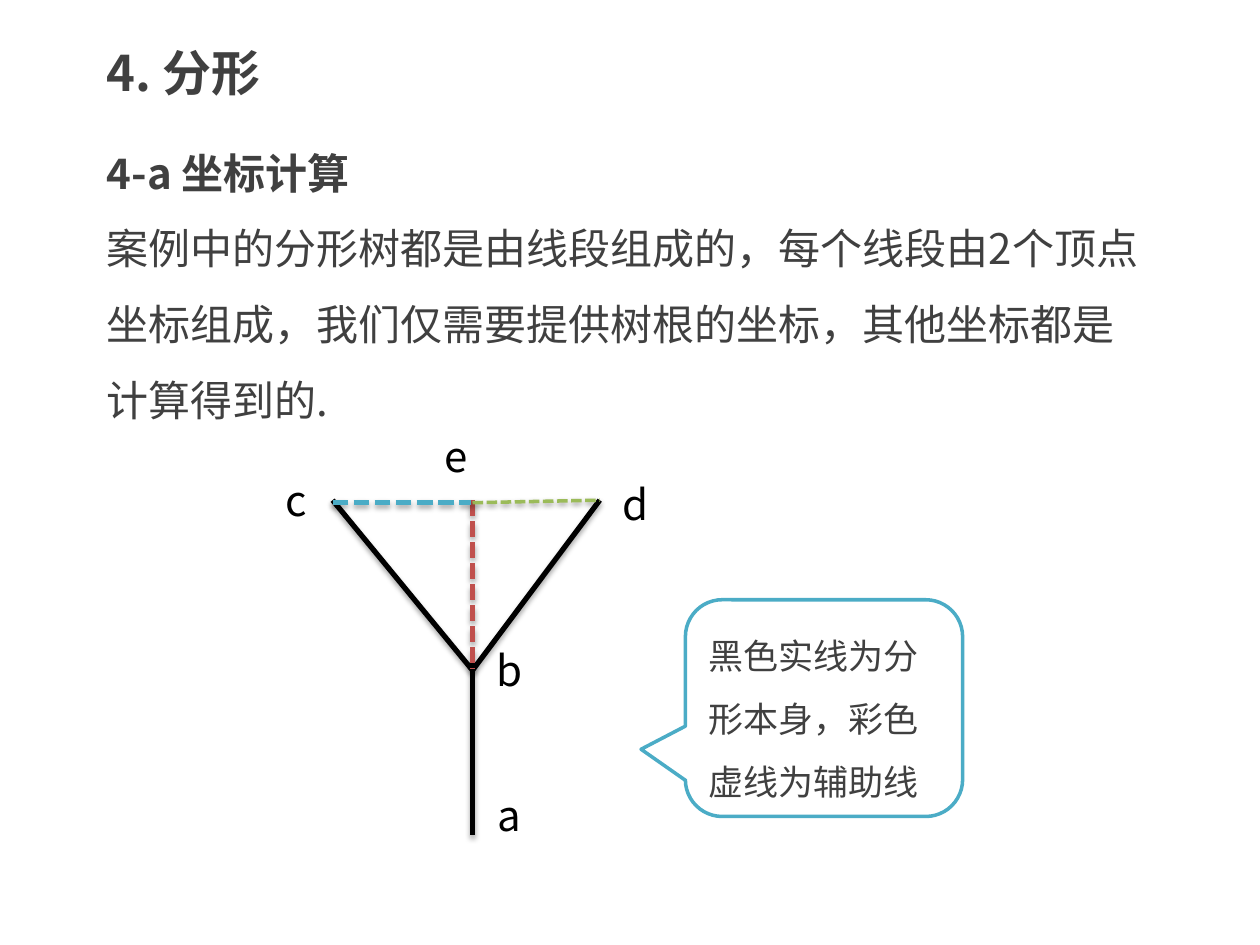
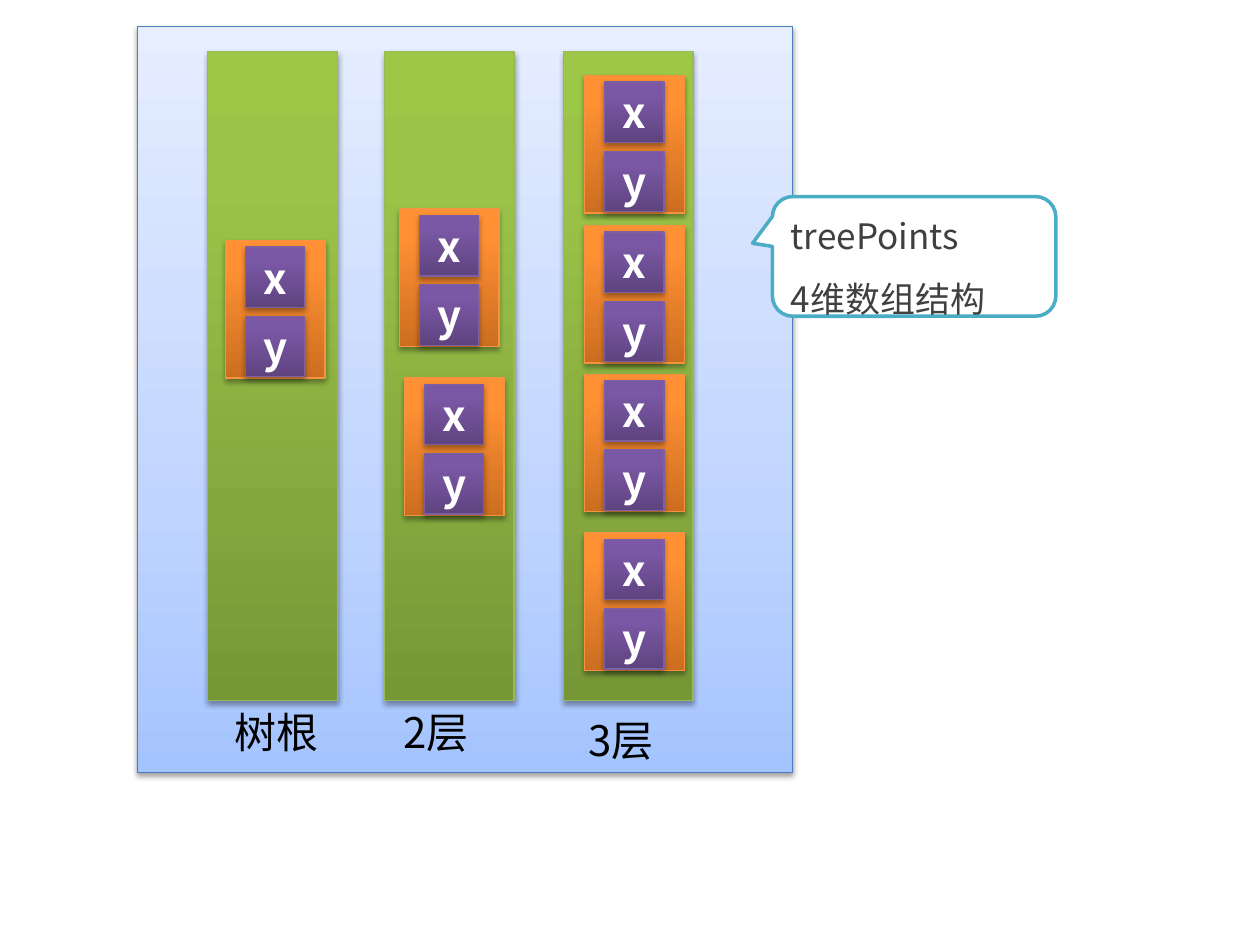
from copy import deepcopy
from dataclasses import dataclass
from lxml.etree import SubElement
from pptx import Presentation
from pptx.dml.color import RGBColor
from pptx.enum.dml import MSO_LINE
from pptx.enum.shapes import MSO_CONNECTOR, MSO_SHAPE
from pptx.enum.text import MSO_ANCHOR, MSO_AUTO_SIZE, PP_ALIGN
from pptx.oxml.ns import qn
from pptx.util import Inches, Pt


@dataclass(frozen=True)
class Theme:
    font: str = "Noto Sans CJK SC"
    title: int = 28
    body: int = 24
    note: int = 20
    gray: str = "404040"
    black: str = "000000"
    white: str = "FFFFFF"
    red: str = "C0504D"
    lime: str = "9BBB59"
    aqua: str = "4BACC6"
    panel: tuple = ("4B7EBC", ((0, "A4C4FF"), (0.35, "BFD4FF"), (1, "E6EEFF")))
    level: tuple = ("98B955", ((0, "779737"), (0.8, "9BC348"), (1, "9DC746")))
    point: tuple = ("F69240", ((0, "CC6E20"), (0.8, "FF9034"), (1, "FF9136")))
    value: tuple = ("7D60A0", ((0, "5F4480"), (0.8, "7B58A6"), (1, "7C57A8")))
    deep: tuple = (35, 1.8)
    soft: tuple = (38, 1.6)


look = Theme()
deck = Presentation()
deck.slide_width, deck.slide_height = Inches(10), Inches(7.5)
col, row = deck.slide_width / 100, deck.slide_height / 75
rgb = RGBColor.from_string
blank = deck.slide_layouts[6]


def write(shape, lines, size, ink, space=1.0, align=PP_ALIGN.LEFT, **form):
    frame = shape.text_frame
    for name, val in {"word_wrap": True, **form}.items():
        setattr(frame, name, val)
    for num, (text, bold) in enumerate(lines):
        para = frame.add_paragraph() if num else frame.paragraphs[0]
        para.alignment, para.line_spacing = align, space
        run = para.add_run()
        run.text = text
        style = {"name": look.font, "size": Pt(size), "bold": bold}
        for name, val in style.items():
            setattr(run.font, name, val)
        run.font.color.rgb = rgb(ink)
        SubElement(run.font._element, qn("a:ea"), typeface=look.font)


def shade(shape, alpha, dist):
    effect = SubElement(shape._element.spPr, qn("a:effectLst"))
    cast = SubElement(effect, qn("a:outerShdw"), blurRad=str(Pt(3.1)),
                      dist=str(Pt(dist)), dir="5400000", rotWithShape="0")
    tone = SubElement(cast, qn("a:srgbClr"), val=look.black)
    SubElement(tone, qn("a:alpha"), val=str(alpha * 1000))


tree = deck.slides.add_slide(blank)
grid = deck.slides.add_slide(blank)

edges = [
    ((37.5, 52.5), (37.5, 66.3), look.black, 3, None, look.deep),
    ((37.5, 53.2), (26.4, 39.7), look.black, 3, None, look.deep),
    ((37.5, 53.2), (47.6, 39.7), look.black, 3, None, look.deep),
    ((37.5, 39.7), (37.5, 53.1), look.red, 3, MSO_LINE.SQUARE_DOT, look.deep),
    ((37.5, 39.9), (47.6, 39.7), look.lime, 2, MSO_LINE.SQUARE_DOT, look.soft),
    ((26.4, 39.9), (37.4, 39.9), look.aqua, 3, MSO_LINE.SQUARE_DOT, look.deep),
]
for (x, y), (u, v), ink, width, dash, cast in edges:
    edge = tree.shapes.add_connector(
        MSO_CONNECTOR.STRAIGHT, int(x * col), int(y * row), int(u * col), int(v * row))
    edge.line.color.rgb = rgb(ink)
    for name, val in {"width": Pt(width), "dash_style": dash}.items():
        setattr(edge.line, name, val)
    shade(edge, *cast)

cells = [(grid, (10.9, 2.1, 52, 59.2), look.panel, look.soft, "")]
for x in (16.5, 30.5, 44.7):
    cells.append((grid, (x, 4.1, 10.3, 51.5), look.level, look.deep, ""))
spots = [(17.9, 19.1), (31.7, 16.6), (32.1, 30),
         (46.4, 6), (46.4, 17.9), (46.4, 29.7), (46.4, 42.3)]
for x, y in spots:
    cells.append((grid, (x, y, 7.9, 10.9), look.point, look.deep, ""))
    for num, text in enumerate("xy"):
        box = (x + 1.6, y + 0.5 + num * 5.5, 4.7, 4.8)
        cells.append((grid, box, look.value, look.deep, text))
for page, (x, y, w, h), (rim, stops), cast, text in cells:
    cell = page.shapes.add_shape(
        MSO_SHAPE.RECTANGLE, int(x * col), int(y * row), int(w * col), int(h * row))
    cell.fill.gradient()
    cell.fill.gradient_angle = 90
    ramp = cell._element.spPr.find(".//" + qn("a:gsLst"))
    ramp.append(deepcopy(ramp[-1]))
    for stop, (place, ink) in zip(cell.fill.gradient_stops, stops):
        stop.position, stop.color.rgb = place, rgb(ink)
    cell.line.color.rgb, cell.line.width = rgb(rim), Pt(0.75)
    shade(cell, *cast)
    if text:
        write(cell, [(text, True)], look.body, look.white, align=PP_ALIGN.CENTER,
              vertical_anchor=MSO_ANCHOR.MIDDLE)

story = [
    ("4-a 坐标计算", True),
    ("案例中的分形树都是由线段组成的，每个线段由2个顶点坐标组成，"
     "我们仅需要提供树根的坐标，其他坐标都是计算得到的.", False),
]
texts = [
    (tree, (7.5, 2.9, 85, 5.7), [("4. 分形", True)], look.title, look.gray, 1.0),
    (tree, (7.5, 9.2, 85, 24.5), story, look.body, look.gray, 1.5),
]
tags = [
    (tree, "a", 38.5, 62.2, 15.7), (tree, "b", 38.4, 50.7, 6.3),
    (tree, "c", 21.7, 37.2, 6.3), (tree, "d", 48.4, 37.5, 6.3),
    (tree, "e", 34.3, 33.7, 6.3), (grid, "树根", 17.6, 55.6, 9.2),
    (grid, "2层", 31, 55.6, 9.2), (grid, "3层", 45.7, 56.2, 9.2),
]
for page, text, x, y, w in tags:
    texts.append((page, (x, y, w, 5), [(text, False)], look.body, look.black, 1.0))
for page, (x, y, w, h), lines, size, ink, space in texts:
    label = page.shapes.add_textbox(
        int(x * col), int(y * row), int(w * col), int(h * row))
    write(label, lines, size, ink, space, auto_size=MSO_AUTO_SIZE.SHAPE_TO_FIT_TEXT)

notes = [
    (tree, (54.4, 47.6, 22, 17.2), (-0.66, 0.19, 0.17),
     ["黑色实线为分形本身，彩色虚线为辅助线"]),
    (grid, (61.3, 15.6, 22.5, 9.5), (-0.57, -0.11, 0.17),
     ["treePoints", "4维数组结构"]),
]
for page, (x, y, w, h), bends, lines in notes:
    note = page.shapes.add_shape(
        MSO_SHAPE.ROUNDED_RECTANGULAR_CALLOUT,
        int(x * col), int(y * row), int(w * col), int(h * row))
    for num, bend in enumerate(bends):
        note.adjustments[num] = bend
    note.shadow.inherit = False
    note.fill.solid()
    note.fill.fore_color.rgb = rgb(look.white)
    note.line.color.rgb, note.line.width = rgb(look.aqua), Pt(2)
    write(note, [(line, False) for line in lines], look.note, look.gray, 1.5,
          vertical_anchor=MSO_ANCHOR.MIDDLE)

deck.save("out.pptx")
